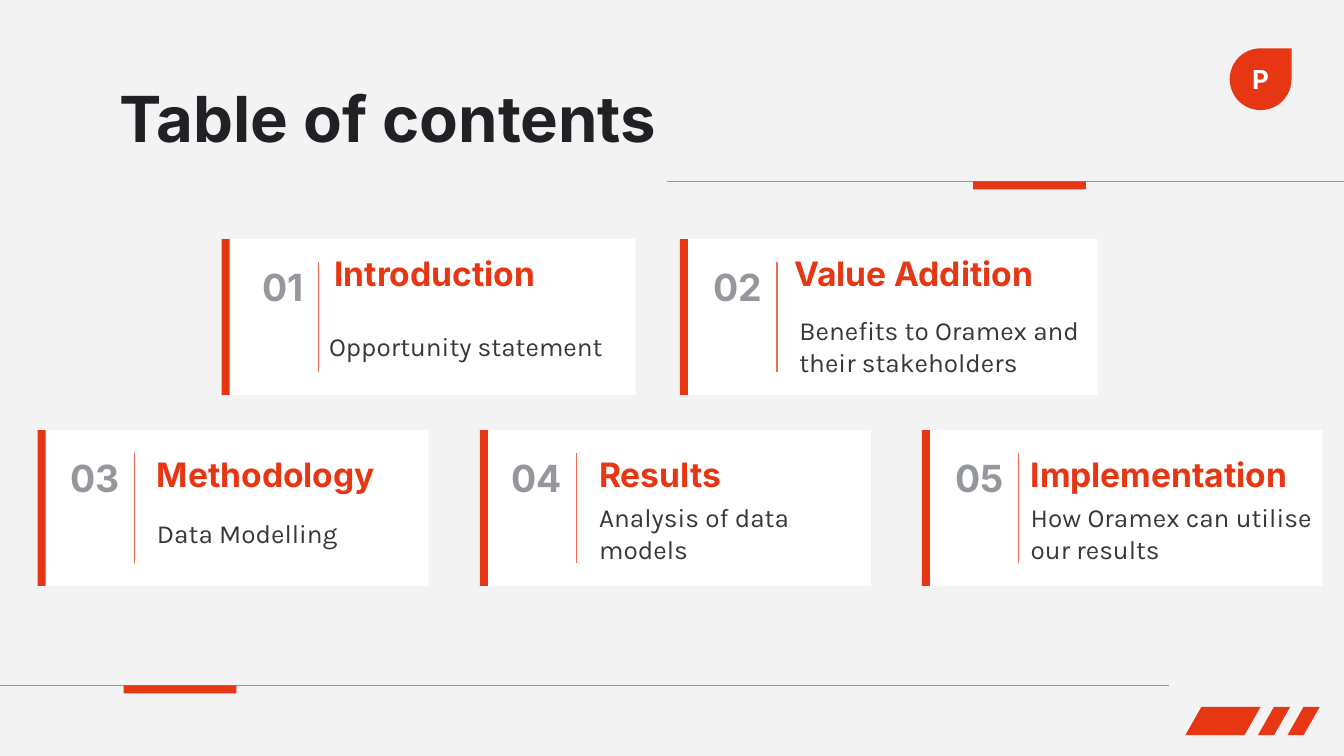
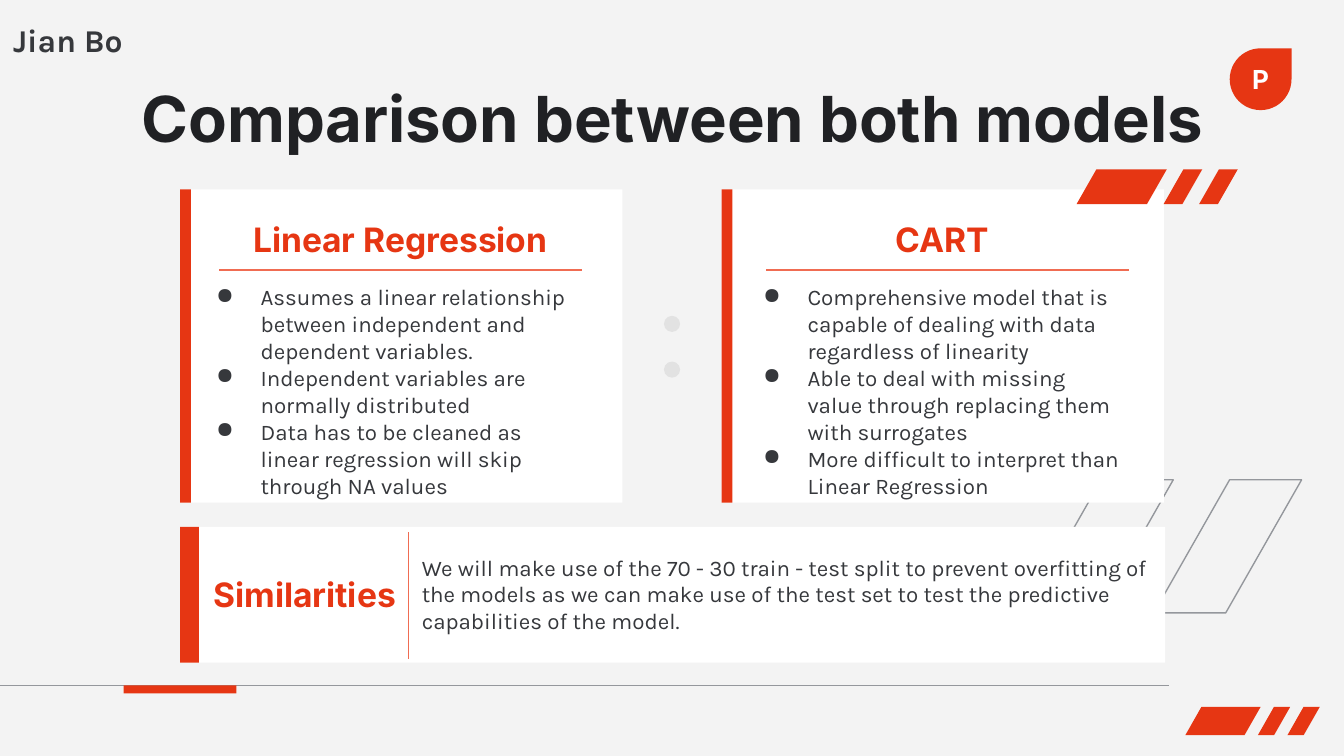
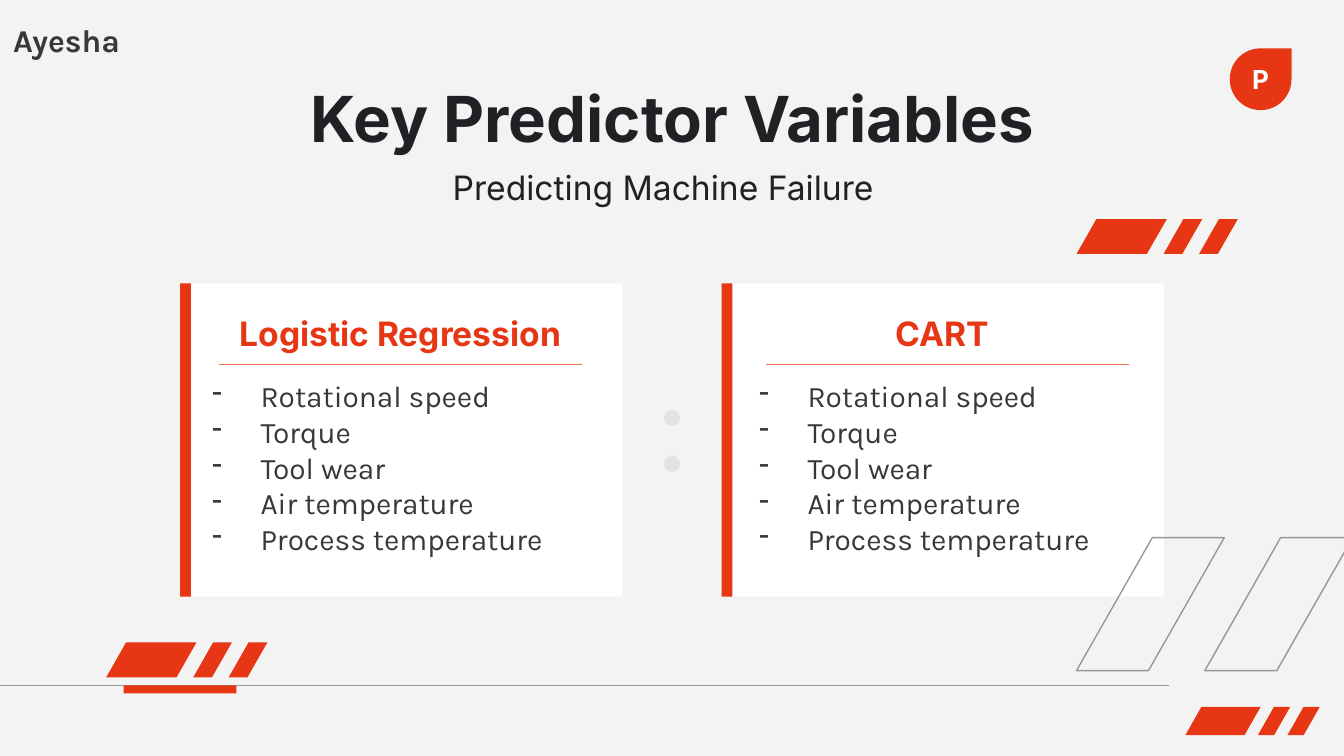
from dataclasses import dataclass

from lxml.etree import SubElement
from pptx import Presentation
from pptx.dml.color import RGBColor
from pptx.enum.shapes import MSO_CONNECTOR, MSO_SHAPE as SHAPE
from pptx.enum.text import MSO_ANCHOR as ANCHOR, PP_ALIGN as ALIGN
from pptx.oxml.ns import qn
from pptx.util import Inches, Pt

SLIDE_W = Inches(10)
SLIDE_H = SLIDE_W * 9 // 16
CELL = SLIDE_W / 100  # the grid has 100 columns of square cells


class Theme:
    paper, white, dot = "F3F3F3", "FFFFFF", "E2E2E2"
    red, rose, grey = "E63613", "F06C52", "94979C"
    ink, body = "202124", "36383C"
    line_width = 0.75
    inset = Inches(0.1)
    styles = {
        "title": ({"name": "Inter", "size": Pt(34), "bold": True}, ink),
        "subtitle": ({"name": "Inter", "size": Pt(18), "bold": False}, ink),
        "heading": ({"name": "Inter", "size": Pt(18), "bold": True}, red),
        "number": ({"name": "Inter", "size": Pt(20), "bold": True}, grey),
        "badge": ({"name": "Inter", "size": Pt(14), "bold": True}, white),
        "speaker": ({"name": "Karla", "size": Pt(17), "bold": True}, body),
        "summary": ({"name": "Karla", "size": Pt(14), "bold": False}, body),
        "points": ({"name": "Karla", "size": Pt(12), "bold": False}, body),
        "variables": ({"name": "Karla", "size": Pt(16), "bold": False}, body),
    }


@dataclass
class Box:
    """An area of the slide, in grid cells."""
    left: float
    top: float
    width: float
    height: float

    def inner(self, dx, dy, width, height):
        return Box(self.left + dx, self.top + dy, width, height)

    def emu(self):
        return [round(v * CELL) for v in (self.left, self.top, self.width, self.height)]


def rgb(color):
    return RGBColor.from_string(color)


def set_all(obj, values):
    for name, value in values.items():
        setattr(obj, name, value)


def add_shape(shapes, kind, box, fill=None, line=None, adj=None):
    sp = shapes.add_shape(kind, *box.emu())
    sp.shadow.inherit = False
    if fill:
        sp.fill.solid()
        sp.fill.fore_color.rgb = rgb(fill)
    else:
        sp.fill.background()
    if line:
        sp.line.color.rgb = rgb(line)
        sp.line.width = Pt(Theme.line_width)
    else:
        sp.line.fill.background()
    if adj is not None:
        sp.adjustments[0] = adj
    return sp


def add_line(shapes, box, color=Theme.rose):
    left, top, width, height = box.emu()
    cn = shapes.add_connector(MSO_CONNECTOR.STRAIGHT, left, top, left + width, top + height)
    cn.line.color.rgb = rgb(color)
    cn.line.width = Pt(Theme.line_width)
    SubElement(cn._element.spPr, qn("a:effectLst"))


def add_bullet(p, char, hanging):
    pPr = p._p.get_or_add_pPr()
    pPr.set("marL", str(Inches(0.5)))
    pPr.set("indent", str(-Inches(hanging)))
    clr = SubElement(pPr, qn("a:buClr"))
    SubElement(clr, qn("a:srgbClr"), val=Theme.body)
    SubElement(pPr, qn("a:buChar"), char=char)


def write(sp, lines, style, align=ALIGN.LEFT, anchor=ANCHOR.MIDDLE, bullet=None):
    tf = sp.text_frame
    sides = ("margin_left", "margin_top", "margin_right", "margin_bottom")
    set_all(tf, dict.fromkeys(sides, Theme.inset))
    set_all(tf, {"word_wrap": True, "vertical_anchor": anchor})
    font, color = Theme.styles[style]
    for i, line in enumerate(lines):
        p = tf.add_paragraph() if i else tf.paragraphs[0]
        p.alignment = align
        if bullet:
            add_bullet(p, *bullet)
        r = p.add_run()
        r.text = line
        set_all(r.font, font)
        r.font.color.rgb = rgb(color)


def add_text(slide, box, text, style, **layout):
    lines = [text] if isinstance(text, str) else text
    write(slide.shapes.add_textbox(*box.emu()), lines, style, **layout)


def tabbed_rule(slide, box, tab_dx):
    """A thin grey line with a red tab hanging below it."""
    shapes = slide.shapes.add_group_shape().shapes
    add_line(shapes, box, Theme.grey)
    add_shape(shapes, SHAPE.RECTANGLE, box.inner(tab_dx, 0, 8.4, 0.6), Theme.red)


def stripes(slide, box):
    """One long and two short red slanted bars."""
    shapes = slide.shapes.add_group_shape().shapes
    for start, share in ((0, 0.56), (0.54, 0.24), (0.76, 0.24)):
        bar = box.inner(start * box.width, 0, share * box.width, box.height)
        add_shape(shapes, SHAPE.PARALLELOGRAM, bar, Theme.red, adj=0.57)


def slanted_outlines(slide, box):
    shapes = slide.shapes.add_group_shape().shapes
    for i in range(2):
        add_shape(shapes, SHAPE.PARALLELOGRAM, box.inner(i * 9.55, 0, 11, box.height),
                  line=Theme.grey, adj=0.57)


def panel(slide, box, bar_width):
    """A white panel with a red bar along its left side."""
    shapes = slide.shapes.add_group_shape().shapes
    add_shape(shapes, SHAPE.RECTANGLE, box, Theme.white)
    add_shape(shapes, SHAPE.RECTANGLE, box.inner(0, 0, bar_width, box.height), Theme.red)


def new_slide(prs, title, align=ALIGN.CENTER, speaker=None):
    slide = prs.slides.add_slide(prs.slide_layouts[6])
    bg = slide.background.fill
    bg.solid()
    bg.fore_color.rgb = rgb(Theme.paper)
    tabbed_rule(slide, Box(-0.3, 51, 87.3, 0), 9.5)
    badge = add_shape(slide.shapes, SHAPE.TEAR, Box(91.5, 3.6, 4.6, 4.6), Theme.red, adj=1.0)
    write(badge, ["P"], "badge", ALIGN.CENTER)
    stripes(slide, Box(88.2, 52.6, 10, 2.1))
    add_text(slide, Box(7.9, 4.9, 84.3, 6.3), title, "title", align=align, anchor=ANCHOR.TOP)
    if speaker:
        add_text(slide, Box(0, 0.6, 11.4, 4.7), speaker, "speaker")
    return slide


def contents_card(slide, box, number, heading, summary, heading_at, summary_at):
    """heading_at is dx, dy; summary_at is dx, dy, width."""
    panel(slide, box, 0.6)
    add_text(slide, box.inner(1, 2.1, 6.1, 2.9), f"{number:02}", "number", align=ALIGN.RIGHT)
    add_line(slide.shapes, box.inner(7.2, 1.7, 0, 8.2))
    add_text(slide, box.inner(*heading_at, 22, 5), heading, "heading")
    add_text(slide, box.inner(*summary_at, 6.1), summary, "summary")


def model_card(slide, box, heading, items, style, bullet, shift=0):
    """shift moves the rule and the list to the right."""
    panel(slide, box, 0.8)
    add_text(slide, box.inner(2.7, 1.4, 27.4, 4.6), heading, "heading", align=ALIGN.CENTER)
    add_line(slide.shapes, box.inner(2.9 + shift, 6, 27, 0))
    add_text(slide, box.inner(shift, 6, 30.2, 18.2), items, style,
             anchor=ANCHOR.TOP, bullet=bullet)


def model_pair(slide, box, models, style, bullet):
    """Two model cards side by side with two dots between them."""
    card_w = 32.9
    for i, (heading, items) in enumerate(models):
        card = box.inner(i * (box.width - card_w), 0, card_w, box.height)
        model_card(slide, card, heading, items, style, bullet, shift=0.4 * i)
    dots = slide.shapes.add_group_shape().shapes
    for dy in (9.4, 12.8):
        add_shape(dots, SHAPE.OVAL, box.inner(box.width / 2 - 0.6, dy, 1.2, 1.2), Theme.dot)


def similarities(slide, box, text):
    panel(slide, box, 1.4)
    add_text(slide, box.inner(1.5, 2.1, 18.5, 5.8), "Similarities", "heading")
    add_line(slide.shapes, box.inner(17, 0.4, 0, 9.4))
    add_text(slide, box.inner(17, 0.3, 56.3, 9.4), text, "points")


def contents_slide(prs):
    slide = new_slide(prs, "Table of contents", ALIGN.LEFT)
    tabbed_rule(slide, Box(49.6, 13.5, 50.4, 0), 22.8)
    # row: top, heading dy, summary dy, cards
    # card: left, width, heading, dx, summary, dx, width
    rows = [
        (17.8, 0, 4.9, [
            (16.5, 30.8, "Introduction", 7.4, "Opportunity statement", 7, 23.8),
            (50.6, 31.1, "Value Addition", 7.5,
             "Benefits to Oramex and their stakeholders", 7.9, 24.7)]),
        (32, 0.8, 4.6, [
            (2.8, 29.1, "Methodology", 7.9, "Data Modelling", 7.9, 18.7),
            (35.7, 29.1, "Results", 7.9, "Analysis of data models", 7.9, 22.6),
            (68.6, 29.8, "Implementation", 7.1,
             "How Oramex can utilise our results", 7.1, 24.1)]),
    ]
    number = 0
    for top, heading_dy, summary_dy, cards in rows:
        for left, width, heading, heading_dx, summary, summary_dx, summary_w in cards:
            number += 1
            contents_card(slide, Box(left, top, width, 11.6), number, heading, summary,
                          (heading_dx, heading_dy), (summary_dx, summary_dy, summary_w))


def comparison_slide(prs):
    slide = new_slide(prs, "Comparison between both models", speaker="Jian Bo")
    slanted_outlines(slide, Box(76.3, 35.7, 20.5, 9.9))
    similarities(slide, Box(13.4, 39.2, 73.3, 10.1),
                 "We will make use of the 70 - 30 train - test split to prevent overfitting of "
                 "the models as we can make use of the test set to test the predictive "
                 "capabilities of the model.")
    models = [
        ("Linear Regression", [
            "Assumes a linear relationship between independent and dependent variables.",
            "Independent variables are normally distributed",
            "Data has to be cleaned as linear regression will skip through NA values"]),
        ("CART", [
            "Comprehensive model that is capable of dealing with data regardless of linearity",
            "Able to deal with missing value through replacing them with surrogates",
            "More difficult to interpret than Linear Regression"]),
    ]
    model_pair(slide, Box(13.4, 14.1, 73.2, 23.3), models, "points", ("●", 0.33))
    stripes(slide, Box(80.1, 12.6, 12, 2.6))


def predictors_slide(prs):
    slide = new_slide(prs, "Key Predictor Variables", speaker="Ayesha")
    add_text(slide, Box(30.5, 8.7, 37.7, 7.7), "Predicting Machine Failure", "subtitle",
             align=ALIGN.CENTER, anchor=ANCHOR.BOTTOM)
    variables = ["Rotational speed", "Torque", "Tool wear", "Air temperature",
                 "Process temperature"]
    models = [(name, variables) for name in ("Logistic Regression", "CART")]
    model_pair(slide, Box(13.4, 21.1, 73.2, 23.3), models, "variables", ("-", 0.36))
    slanted_outlines(slide, Box(80.1, 40, 20.5, 9.9))
    for left, top in ((7.9, 47.8), (80.1, 16.3)):
        stripes(slide, Box(left, top, 12, 2.6))


def main():
    prs = Presentation()
    set_all(prs, {"slide_width": SLIDE_W, "slide_height": SLIDE_H})
    for build in (contents_slide, comparison_slide, predictors_slide):
        build(prs)
    prs.save("out.pptx")


if __name__ == "__main__":
    main()
